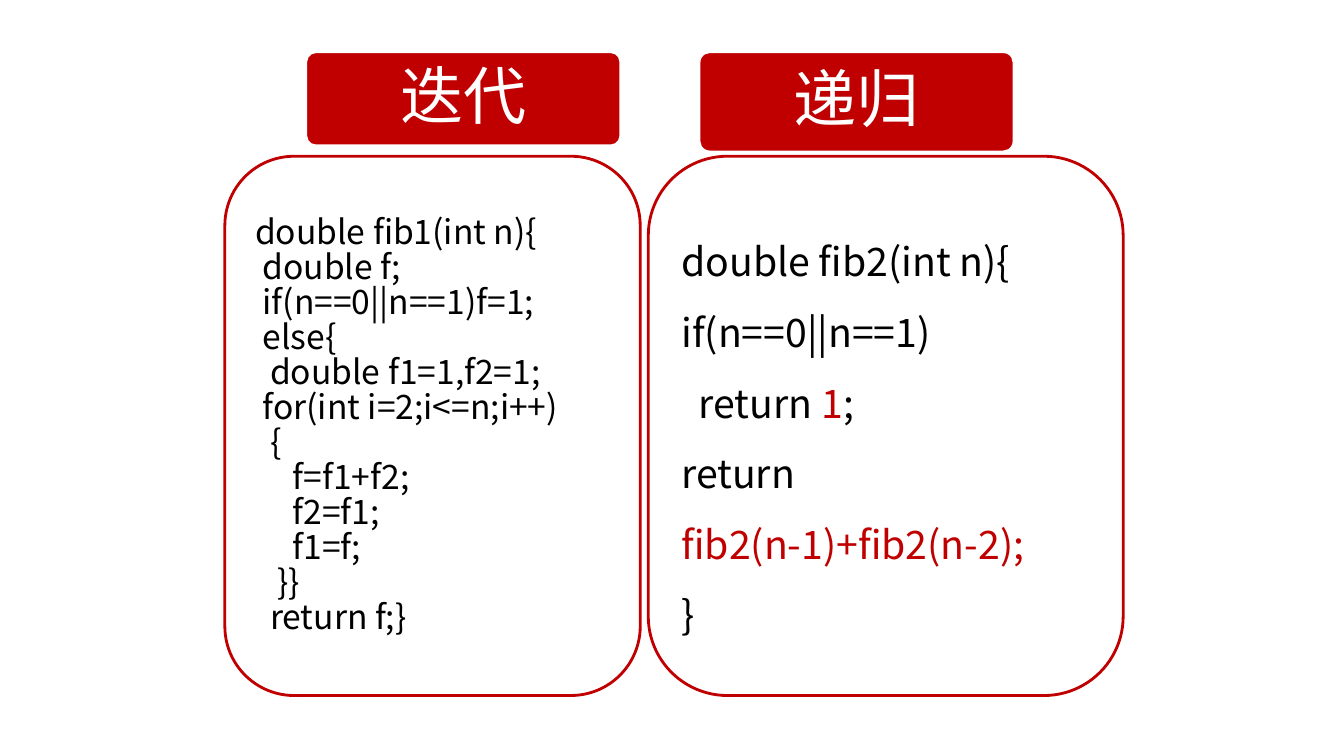
from lxml import etree
from pptx import Presentation
from pptx.dml.color import RGBColor
from pptx.enum.shapes import MSO_SHAPE
from pptx.enum.text import MSO_ANCHOR, PP_ALIGN
from pptx.oxml.ns import qn
from pptx.util import Inches, Pt

ROUNDED = MSO_SHAPE.ROUNDED_RECTANGLE
MIDDLE = MSO_ANCHOR.MIDDLE
LEFT, CENTER = PP_ALIGN.LEFT, PP_ALIGN.CENTER
COLORS = {"red": "C00000", "white": "FFFFFF", "black": "000000"}
CODE_FONT, HEADING_FONT = "Noto Sans CJK SC", "Calibri"

ITERATION_CODE = [
    [("double fib1(int n){", "black")],
    [(" double f;", "black")],
    [(" if(n==0||n==1)f=1;", "black")],
    [(" else{", "black")],
    [("  double f1=1,f2=1;", "black")],
    [(" for(int i=2;i<=n;i++)", "black")],
    [("  {", "black")],
    [("     f=f1+f2;", "black")],
    [("     f2=f1;", "black")],
    [("     f1=f;", "black")],
    [("   }}", "black")],
    [("  return f;}", "black")],
]
RECURSION_CODE = [
    [("double fib2(int n){", "black")],
    [("if(n==0||n==1)", "black")],
    [("  return ", "black"), ("1", "red"), (";", "black")],
    [("return ", "black"), ("fib2(n-1)+fib2(n-2);", "red")],
    [("}", "black")],
]


def color(name):
    return RGBColor.from_string(COLORS[name])


def add_rounded_box(page, box, fill, line, line_width):
    shape = page.shapes.add_shape(ROUNDED, *[Inches(length) for length in box])
    shape.shadow.inherit = False
    shape.fill.solid()
    shape.fill.fore_color.rgb = color(fill)
    shape.line.color.rgb = color(line)
    shape.line.width = Pt(line_width)
    shape.text_frame.word_wrap = True
    shape.text_frame.vertical_anchor = MIDDLE
    return shape


def write_line(para, spans, font, size, spacing, align):
    para.alignment = align
    para.line_spacing = spacing
    for text, tint in spans:
        span = para.add_run()
        span.text = text
        span.font.name = font
        span.font.size = Pt(size)
        span.font.color.rgb = color(tint)
        east_asian = etree.SubElement(span.font._element, qn("a:ea"))
        east_asian.set("typeface", CODE_FONT)


def add_heading(page, box, text):
    shape = add_rounded_box(page, box, "red", "white", 1)
    shape.adjustments[0] = 0.1
    para = shape.text_frame.paragraphs[0]
    write_line(para, [(text, "white")], HEADING_FONT, 45, 0.9, CENTER)


def add_code_panel(page, box, lines, size, spacing):
    frame = add_rounded_box(page, box, "white", "red", 2).text_frame
    for index, spans in enumerate(lines):
        para = frame.add_paragraph() if index else frame.paragraphs[0]
        write_line(para, spans, CODE_FONT, size, spacing, LEFT)


def main():
    deck = Presentation()
    deck.slide_width, deck.slide_height = Inches(13.33), Inches(7.5)
    page = deck.slides.add_slide(deck.slide_layouts[6])
    add_code_panel(page, (2.23, 1.55, 4.12, 5.35), ITERATION_CODE, 24, Pt(25))
    add_heading(page, (3.04, 0.52, 3.11, 0.92), "迭代")
    add_heading(page, (6.94, 0.52, 3.11, 0.98), "递归")
    add_code_panel(page, (6.43, 1.55, 4.71, 5.35), RECURSION_CODE, 28, 1.5)
    deck.save("out.pptx")


if __name__ == "__main__":
    main()
